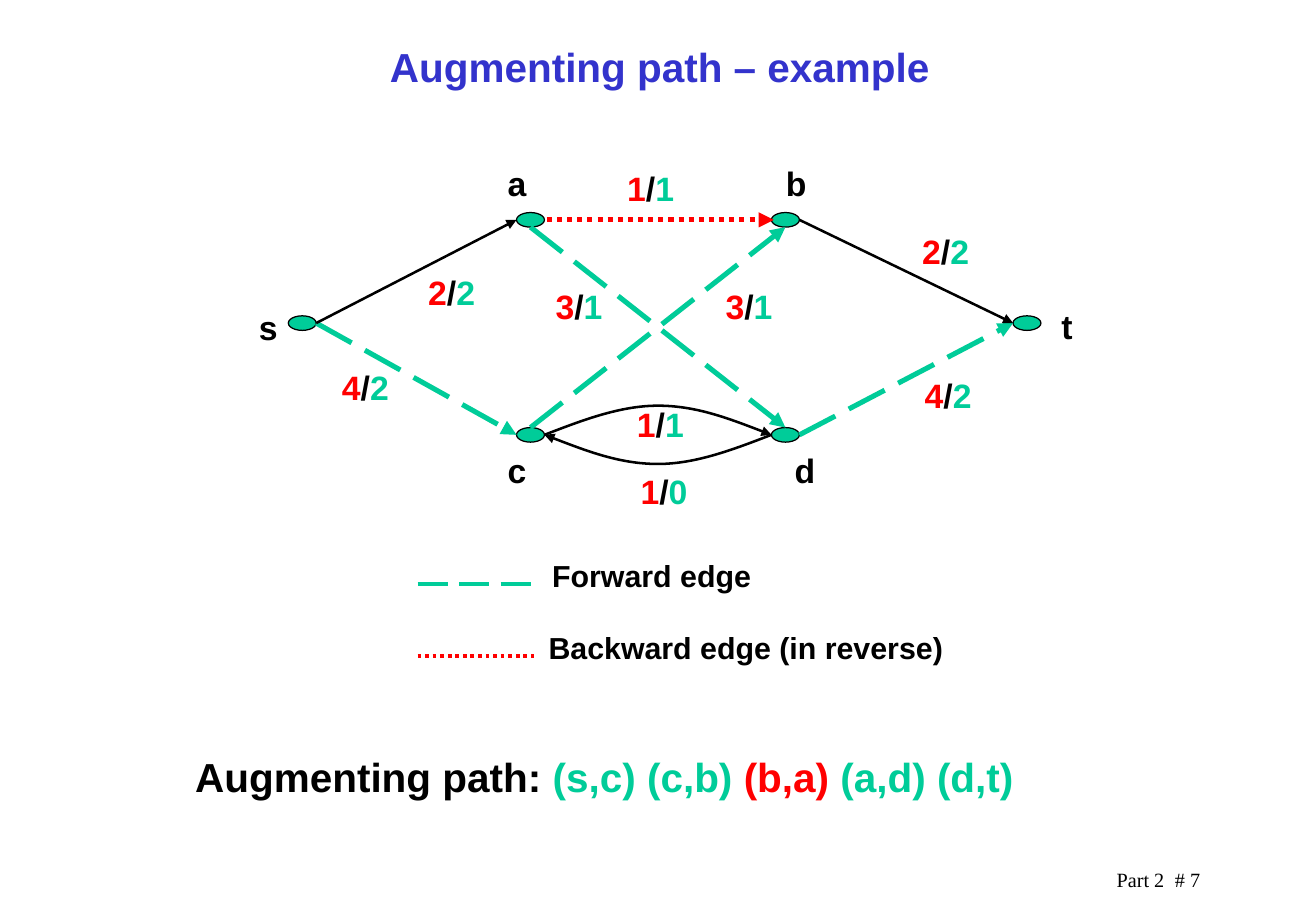
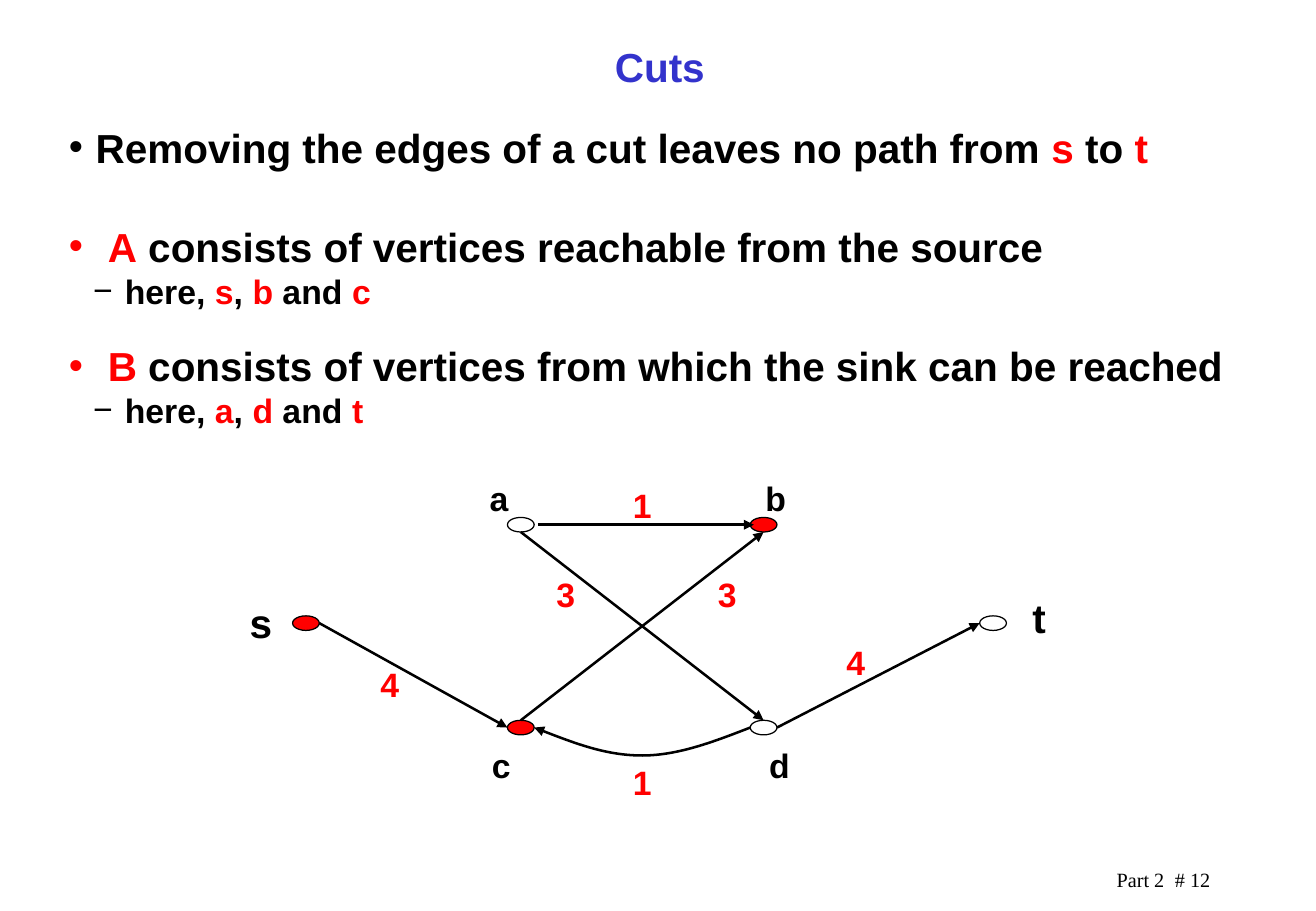
"""Build two slides on augmenting paths and cuts in flow networks."""
from dataclasses import dataclass

from lxml import etree
from pptx import Presentation
from pptx import util as u
from pptx.dml.color import RGBColor
from pptx.enum import dml, shapes, text
from pptx.oxml.ns import qn


@dataclass(frozen=True)
class Theme:
    """Colours, fonts and type sizes of the deck."""
    ink: str = "000000"
    title: str = "3333CC"
    green: str = "00CC99"
    red: str = "FF0000"
    sans: str = "Arial"
    serif: str = "Times New Roman"
    large: int = 24
    label: int = 20
    legend: int = 18
    footer: int = 12


THEME = Theme()
DASH = dml.MSO_LINE.LONG_DASH
DOT = dml.MSO_LINE.ROUND_DOT
ARCH = ((1 / 6, 0.5), (1 / 3, 1), (1 / 2, 1), (2 / 3, 1), (5 / 6, 0.5), (1, 0))
SIDES = {"e": (0.5, 0), "w": (-0.5, 0), "n": (0, -0.5), "s": (0, 0.5)}


class Sketch:
    """Draws styled elements on the current slide."""

    def __init__(self, deck, theme):
        self.deck, self.theme = deck, theme
        self.page = None
        self.nodes, self.node_size = {}, (0, 0)

    def start(self, title, number):
        """Open a blank slide with its title and footer."""
        self.page = self.deck.slides.add_slide(self.deck.slide_layouts[6])
        t = self.theme
        self.text(0.13, 0.3, 10.61, 0.5, [(title, t.title)], t.large, center=True)
        box = self.box(9.1, 7.09, 1.5, 0.3)
        para = box.text_frame.paragraphs[0]
        tabs = etree.SubElement(para._p.get_or_add_pPr(), qn("a:tabLst"))
        etree.SubElement(tabs, qn("a:tab"), pos=str(u.Inches(0.48)), algn="l")
        self.spans(para, [(f"Part 2\t# {number}", t.ink)], t.footer, name=t.serif, bold=False)

    def box(self, left, top, width, height, **frame):
        """Add an empty text box."""
        box = self.page.shapes.add_textbox(*map(u.Inches, (left, top, width, height)))
        for key, value in {"word_wrap": True, **frame}.items():
            setattr(box.text_frame, key, value)
        return box

    def spans(self, para, parts, size, **font):
        """Write coloured spans into a paragraph."""
        values = {"name": self.theme.sans, "bold": True, "size": u.Pt(size), **font}
        for words, color in parts:
            span = para.add_run()
            span.text = words
            for key, value in values.items():
                setattr(span.font, key, value)
            span.font.color.rgb = RGBColor.from_string(color)

    def text(self, left, top, width, height, parts, size, center=False, **frame):
        """Add a one-paragraph text box."""
        para = self.box(left, top, width, height, **frame).text_frame.paragraphs[0]
        if center:
            para.alignment = text.PP_ALIGN.CENTER
        self.spans(para, parts, size)

    def label(self, x, y, parts, size=None):
        """Centre a short label on a point."""
        self.text(x - 0.3, y - 0.25, 0.6, 0.5, parts, size or self.theme.label, center=True,
                  word_wrap=False, vertical_anchor=text.MSO_ANCHOR.MIDDLE)

    def bullets(self, left, top, width, height, items):
        """Add a bulleted list."""
        frame = self.box(left, top, width, height).text_frame
        for index, (parts, mark, size, margin, hang, before) in enumerate(items):
            para = frame.add_paragraph() if index else frame.paragraphs[0]
            props = para._p.get_or_add_pPr()
            props.set("marL", str(u.Inches(margin)))
            props.set("indent", str(-u.Inches(hang)))
            etree.SubElement(props, qn("a:buFont"), typeface=self.theme.sans)
            etree.SubElement(props, qn("a:buChar"), char=mark)
            para.space_before = u.Pt(before)
            self.spans(para, parts, size)

    def graph(self, centers, size, fills):
        """Draw the vertices and remember their places."""
        self.nodes, self.node_size = centers, size
        width, height = size
        for name, (x, y) in centers.items():
            node = self.page.shapes.add_shape(
                shapes.MSO_SHAPE.OVAL,
                *map(u.Inches, (x - width / 2, y - height / 2, width, height)))
            node.shadow.inherit = False
            if name in fills:
                node.fill.solid()
                node.fill.fore_color.rgb = RGBColor.from_string(fills[name])
            else:
                node.fill.background()
            self.stroke(node, self.theme.ink, 0.75)

    def port(self, name):
        """Return a point on a vertex, such as 'ae' for the east of a."""
        x, y = self.nodes[name[0]]
        dx, dy = SIDES[name[1]]
        return x + dx * self.node_size[0], y + dy * self.node_size[1]

    def stroke(self, shape, color, weight, dash=None, arrow=False):
        """Style an outline."""
        for key, value in {"width": u.Pt(weight), "dash_style": dash}.items():
            setattr(shape.line, key, value)
        shape.line.color.rgb = RGBColor.from_string(color)
        if arrow:
            etree.SubElement(shape.line._get_or_add_ln(), qn("a:tailEnd"), type="triangle")

    def line(self, start, end, color, weight, dash=None, arrow=False):
        """Draw a straight line between two points."""
        line = self.page.shapes.add_connector(
            shapes.MSO_CONNECTOR.STRAIGHT, *map(u.Inches, (*start, *end)))
        self.stroke(line, color, weight, dash, arrow)
        etree.SubElement(line._element.spPr, qn("a:effectLst"))

    def edge(self, start, end, color=None, weight=1.5, dash=None, shift=0):
        """Draw a straight arrow between two ports."""
        ends = [(x + shift, y) for x, y in map(self.port, (start, end))]
        self.line(*ends, color or self.theme.ink, weight, dash, arrow=True)

    def arc(self, start, end, sag):
        """Draw a curved arrow between two ports on one level."""
        (x, y), (end_x, _) = self.port(start), self.port(end)
        builder = self.page.shapes.build_freeform(u.Inches(x), u.Inches(y))
        builder.add_line_segments(
            [(u.Inches(x + (end_x - x) * along), u.Inches(y + sag * drop))
             for along, drop in ARCH], close=False)
        curve = builder.convert_to_shape()
        outline = next(curve._element.iter(qn("a:path")))
        steps = outline.findall(qn("a:lnTo"))
        for first in range(0, len(steps), 3):
            bend = etree.SubElement(outline, qn("a:cubicBezTo"))
            for step in steps[first:first + 3]:
                bend.append(step[0])
                outline.remove(step)
        curve.shadow.inherit = False
        curve.fill.background()
        self.stroke(curve, self.theme.ink, 1.5, arrow=True)


def augmenting_path(sketch):
    """Draw the augmenting path example."""
    t = sketch.theme
    sketch.start("Augmenting path – example", 7)
    sketch.text(1.51, 6.14, 7.81, 0.5, [
        ("Augmenting path: ", t.ink), ("(s,c) (c,b) ", t.green),
        ("(b,a)", t.red), (" (a,d) (d,t)", t.green)], t.large)
    left, right, top, bottom, middle = 4.37, 6.47, 1.81, 3.58, 2.66
    centers = {"a": (left, top), "b": (right, top), "c": (left, bottom),
               "d": (right, bottom), "s": (2.49, middle), "t": (8.46, middle)}
    sketch.graph(centers, (0.23, 0.12), dict.fromkeys(centers, t.green))
    sketch.arc("ce", "dw", -0.24)
    sketch.arc("dw", "ce", 0.24)
    for start, end in (("as", "dn"), ("cn", "bs"), ("se", "cw"), ("de", "tw")):
        sketch.edge(start, end, t.green, 3, DASH)
    sketch.edge("se", "aw")
    sketch.edge("be", "tw")
    sketch.edge("ae", "bw", t.red, 3, DOT, shift=0.02)
    for name, x, y in (("s", 2.21, 2.69), ("t", 8.79, 2.68), ("a", 4.26, 1.51),
                       ("b", 6.56, 1.51), ("c", 4.26, 3.87), ("d", 6.63, 3.87)):
        sketch.label(x, y, [(name, t.ink)])
    for capacity, flow, x, y in (
            ("2", "2", 3.72, 2.4), ("4", "2", 3.01, 3.19), ("3", "1", 4.77, 2.52),
            ("3", "1", 6.17, 2.52), ("4", "2", 7.81, 3.25), ("2", "2", 7.79, 2.07),
            ("1", "1", 5.36, 1.55), ("1", "1", 5.44, 3.49), ("1", "0", 5.47, 4.04)):
        sketch.label(x, y, [(capacity, t.red), ("/", t.ink), (flow, t.green)])
    for words, x, y, color, dash in (
            ("Forward edge", 4.45, 4.81, t.green, DASH),
            ("Backward edge (in reverse)", 4.42, 5.4, t.red, DOT)):
        sketch.line((3.44, y), (4.4, y), color, 2.25, dash)
        sketch.text(x, y - 0.27, 3.6, 0.4, [(words, t.ink)], t.legend)


def cuts(sketch):
    """Draw the slide on cuts."""
    t = sketch.theme
    sketch.start("Cuts", 12)

    def here(first, second, third):
        """Return the sub-item that lists three vertices."""
        parts = [("here, ", t.ink), (first, t.red), (", ", t.ink),
                 (second, t.red), (" and ", t.ink), (third, t.red)]
        return parts, "−", t.label, 0.46, 0.26, 0

    def side(name, words, before):
        """Return the item that describes one side of the cut."""
        return [(name, t.red), (words, t.ink)], "•", t.large, 0.32, 0.32, before

    sketch.bullets(0.47, 0.96, 9.94, 2.7, [
        ([("Removing the edges of a cut leaves no path from ", t.ink), ("s", t.red),
          (" to ", t.ink), ("t", t.red)], "•", t.large, 0.22, 0.22, 0),
        side("A", " consists of vertices reachable from the source", 30),
        here("s", "b", "c"),
        side("B", " consists of vertices from which the sink can be reached", 18),
        here("a", "d", "t")])
    left, right, top, bottom, middle = 4.29, 6.29, 4.32, 5.99, 5.13
    centers = {"a": (left, top), "b": (right, top), "c": (left, bottom),
               "d": (right, bottom), "s": (2.52, middle), "t": (8.18, middle)}
    sketch.graph(centers, (0.22, 0.12), dict.fromkeys("sbc", t.red))
    sketch.arc("dw", "ce", 0.23)
    for start, end in (("as", "dn"), ("cn", "bs"), ("se", "cw"), ("de", "tw")):
        sketch.edge(start, end)
    sketch.edge("ae", "bw", shift=0.03)
    for name, x, y, size in (
            ("s", 2.15, 5.12, t.large), ("t", 8.56, 5.08, t.large),
            ("a", 4.11, 4.1, t.label), ("b", 6.39, 4.1, t.label),
            ("c", 4.13, 6.3, t.label), ("d", 6.42, 6.3, t.label)):
        sketch.label(x, y, [(name, t.ink)], size)
    for capacity, x, y in (("1", 5.29, 6.44), ("4", 3.21, 5.63), ("3", 4.66, 4.89),
                           ("3", 5.99, 4.89), ("4", 7.05, 5.45), ("1", 5.29, 4.16)):
        sketch.label(x, y, [(capacity, t.red)])


def main():
    """Build and save the deck."""
    deck = Presentation()
    deck.slide_width, deck.slide_height = u.Inches(10.84), u.Inches(7.5)
    sketch = Sketch(deck, THEME)
    augmenting_path(sketch)
    cuts(sketch)
    deck.save("out.pptx")


if __name__ == "__main__":
    main()
